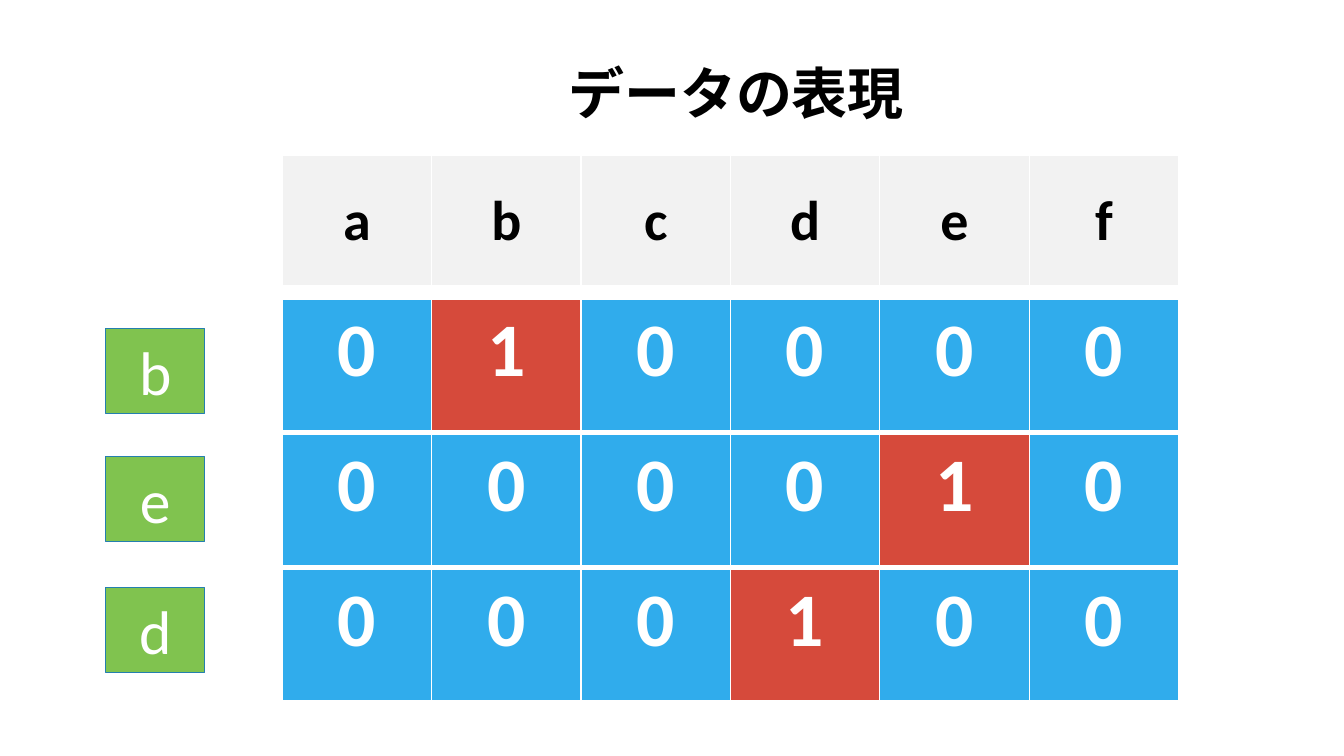
from lxml import etree
from pptx import Presentation
from pptx import util as u
from pptx.dml.color import RGBColor
from pptx.enum import shapes, text
from pptx.oxml import ns

TITLE = "データの表現"
HEADS = ["a", "b", "c", "d", "e", "f"]
WORDS = [("b", 3.26), ("e", 4.53), ("d", 5.83)]
FONT = "Calibri"
BLACK, WHITE, GRAY = "000000", "FFFFFF", "F2F2F2"
BLUE, RED, GREEN, EDGE = "30ACEC", "D64A3B", "80C34F", "247FAF"
LEFT, WIDTH, HIGH = 2.8, 8.89, 1.31
HEAD, TOP, STEP = 1.54, 2.97, 1.34
SIDES = [("lnL", 1), ("lnR", 1), ("lnT", 1), ("lnB", 3)]


def color(code):
    return RGBColor.from_string(code)


def paint(part, code):
    part.fill.solid()
    part.fill.fore_color.rgb = color(code)


def write(frame, words, size, code, bold):
    para = frame.paragraphs[0]
    para.alignment = text.PP_ALIGN.CENTER
    run = para.add_run()
    run.text = words
    run.font.name = FONT
    run.font.size = u.Pt(size)
    run.font.bold = bold
    run.font.color.rgb = color(code)


def border(cell):
    props = cell._tc.get_or_add_tcPr()
    for side, width in SIDES:
        line = etree.SubElement(props, ns.qn("a:" + side), w=str(u.Pt(width)))
        fill = etree.SubElement(line, ns.qn("a:solidFill"))
        etree.SubElement(fill, ns.qn("a:srgbClr"), val=WHITE)


def add_row(slide, top, items, fills, size, code, anchor):
    frame = slide.shapes.add_table(
        1, len(items), u.Inches(LEFT), u.Inches(top), u.Inches(WIDTH), u.Inches(HIGH))
    for cell, item, fill in zip(frame.table.iter_cells(), items, fills):
        border(cell)
        paint(cell, fill)
        cell.vertical_anchor = anchor
        write(cell.text_frame, item, size, code, True)


def add_word(slide, word, top):
    box = slide.shapes.add_shape(
        shapes.MSO_SHAPE.RECTANGLE,
        u.Inches(1.05), u.Inches(top), u.Inches(0.98), u.Inches(0.84))
    box.shadow.inherit = False
    paint(box, GREEN)
    box.line.color.rgb = color(EDGE)
    box.line.width = u.Pt(0.75)
    box.text_frame.vertical_anchor = text.MSO_ANCHOR.MIDDLE
    write(box.text_frame, word, 44, WHITE, False)


def main():
    deck = Presentation()
    deck.slide_width, deck.slide_height = u.Inches(13.33), u.Inches(7.5)
    slide = deck.slides.add_slide(deck.slide_layouts[5])

    title = slide.shapes.title
    title.left, title.top = u.Inches(LEFT), u.Inches(0.46)
    title.width, title.height = u.Inches(9), u.Inches(0.9)
    title.text_frame.vertical_anchor = text.MSO_ANCHOR.MIDDLE
    write(title.text_frame, TITLE, 40, BLACK, True)

    add_row(slide, HEAD, HEADS, [GRAY] * len(HEADS), 40, BLACK, text.MSO_ANCHOR.MIDDLE)
    for row, (word, top) in enumerate(WORDS):
        bits = ["1" if head == word else "0" for head in HEADS]
        fills = [RED if bit == "1" else BLUE for bit in bits]
        add_row(slide, TOP + row * STEP, bits, fills, 54, WHITE, text.MSO_ANCHOR.TOP)
        add_word(slide, word, top)

    deck.save("out.pptx")


if __name__ == "__main__":
    main()
